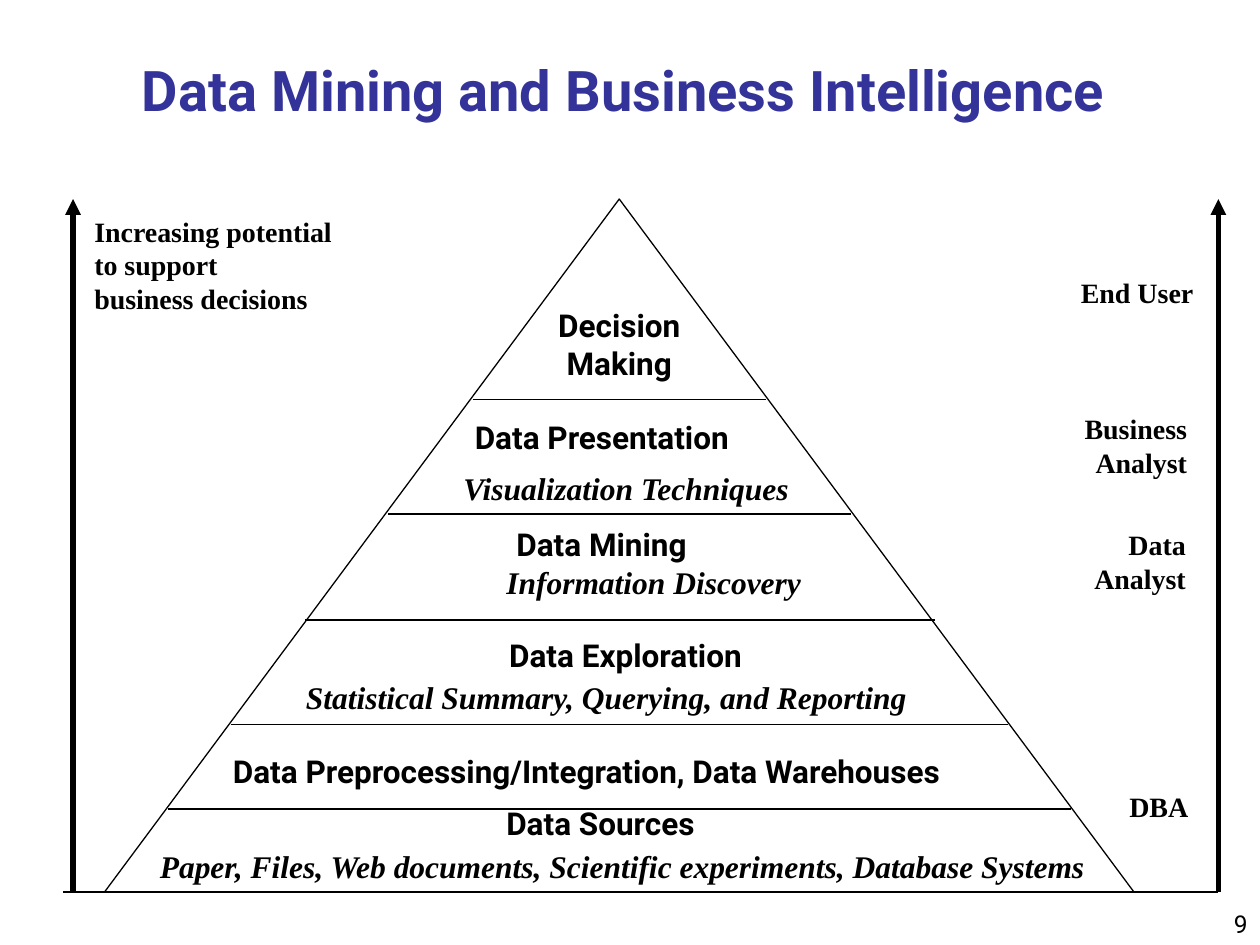
"""Build the pyramid slide on data mining and business intelligence."""
from lxml import etree
from pptx import Presentation
from pptx.dml.color import RGBColor
from pptx.enum.shapes import MSO_CONNECTOR, MSO_SHAPE
from pptx.enum.text import MSO_ANCHOR, MSO_AUTO_SIZE, PP_ALIGN
from pptx.oxml.ns import qn
from pptx.util import Inches, Pt

BLACK = RGBColor(0, 0, 0)
NAVY = RGBColor(0x33, 0x33, 0x99)
SANS, SERIF = "Roboto", "Times New Roman"
LEFT, MID, RIGHT = PP_ALIGN.LEFT, PP_ALIGN.CENTER, PP_ALIGN.RIGHT

prs = Presentation()
prs.slide_width, prs.slide_height = Inches(10), Inches(7.5)
slide = prs.slides.add_slide(prs.slide_layouts[6])


def add_text(text, x, y, w, h, font, size, align=LEFT, wrap=False,
             bold=True, italic=False, color=BLACK, anchor=MSO_ANCHOR.TOP):
    box = slide.shapes.add_textbox(Inches(x), Inches(y), Inches(w), Inches(h))
    frame = box.text_frame
    frame.text = text
    frame.word_wrap = wrap
    frame.vertical_anchor = anchor
    if anchor == MSO_ANCHOR.TOP:
        frame.auto_size = MSO_AUTO_SIZE.SHAPE_TO_FIT_TEXT
    for para in frame.paragraphs:
        para.alignment = align
        for run in para.runs:
            run.font.name, run.font.size = font, Pt(size)
            run.font.bold, run.font.italic = bold, italic
            run.font.color.rgb = color


def add_line(x1, y1, x2, y2, width=0.75):
    line = slide.shapes.add_connector(
        MSO_CONNECTOR.STRAIGHT, Inches(x1), Inches(y1), Inches(x2), Inches(y2))
    line.line.color.rgb = BLACK
    line.line.width = Pt(width)
    etree.SubElement(line._element.spPr, qn("a:effectLst"))
    return line


add_text("9", 7.92, 7, 2.08, 0.5, SANS, 14, RIGHT, True, bold=False,
         anchor=MSO_ANCHOR.BOTTOM)
add_text("Data Mining and Business Intelligence", 0.2, 0.42, 9.5, 0.58, SANS,
         32, MID, True, color=NAVY, anchor=MSO_ANCHOR.MIDDLE)

cone = slide.shapes.add_shape(MSO_SHAPE.FLOWCHART_EXTRACT, Inches(0.83),
                              Inches(1.58), Inches(8.17), Inches(5.5))
cone.shadow.inherit = False
cone.fill.background()
cone.line.color.rgb = BLACK
cone.line.width = Pt(0.75)

for x1, x2, y in [(1.33, 8.5, 6.42), (1.83, 8, 5.75), (2.42, 7.42, 4.92),
                  (3.08, 6.75, 4.08), (3.75, 6.08, 3.17), (0.5, 9.67, 7.08)]:
    add_line(x1, y, x2, y)

for x in (0.58, 9.67):
    arrow = add_line(x, 7.08, x, 1.58, 3)
    etree.SubElement(arrow.line._get_or_add_ln(), qn("a:tailEnd"),
                     type="triangle")

add_text("Increasing potential\nto support\nbusiness decisions",
         0.65, 1.65, 2.1, 0.9, SERIF, 16)
for text, x, y, w, h in [("End User", 8.47, 2.14, 1.1, 0.37),
                         ("Business\nAnalyst", 8.48, 3.22, 1.04, 0.64),
                         ("Data\nAnalyst", 8.57, 4.14, 0.94, 0.64),
                         ("DBA", 8.86, 6.22, 0.67, 0.37)]:
    add_text(text, x, y, w, h, SERIF, 16, RIGHT)

add_text("Decision Making", 4.25, 2.38, 1.33, 0.7, SANS, 18, MID, True)
add_text("Data Exploration", 3.68, 5, 2.57, 0.4, SANS, 18, MID, True)
for text, x, y, w, wrap in [
        ("Data Presentation", 3.67, 3.27, 2.47, False),
        ("Data Mining", 4, 4.12, 1.95, True),
        ("Data Preprocessing/Integration, Data Warehouses",
         1.75, 5.92, 6.59, False),
        ("Data Sources", 3.92, 6.33, 1.86, False)]:
    add_text(text, x, y, w, 0.4, SANS, 18, wrap=wrap)

for text, x, y, w, wrap in [
        ("Visualization Techniques", 3.58, 3.67, 2.82, False),
        ("Information Discovery", 3.92, 4.42, 2.54, False),
        ("Statistical Summary, Querying, and Reporting", 2.33, 5.33, 5, True),
        ("Paper, Files, Web documents, Scientific experiments, "
         "Database Systems", 1.17, 6.67, 7.78, True)]:
    add_text(text, x, y, w, 0.4, SERIF, 18, wrap=wrap, italic=True)

prs.save("out.pptx")
